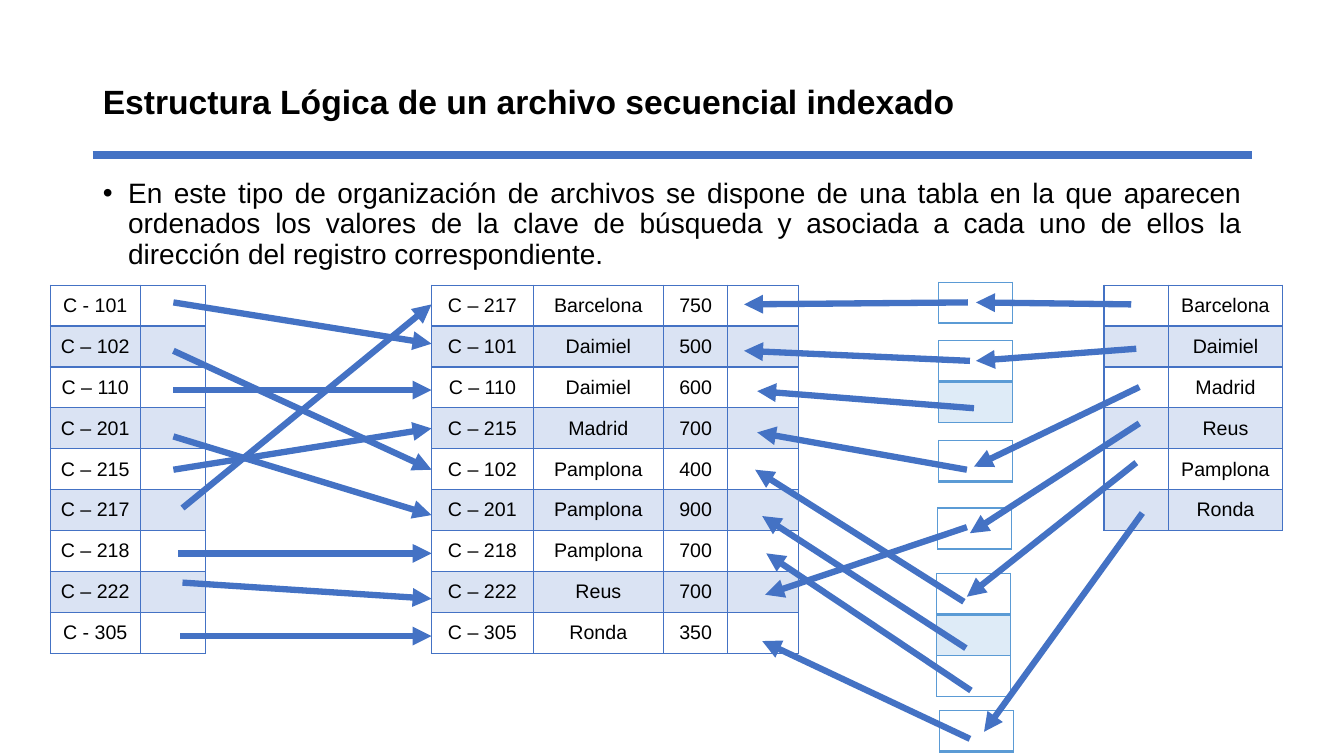
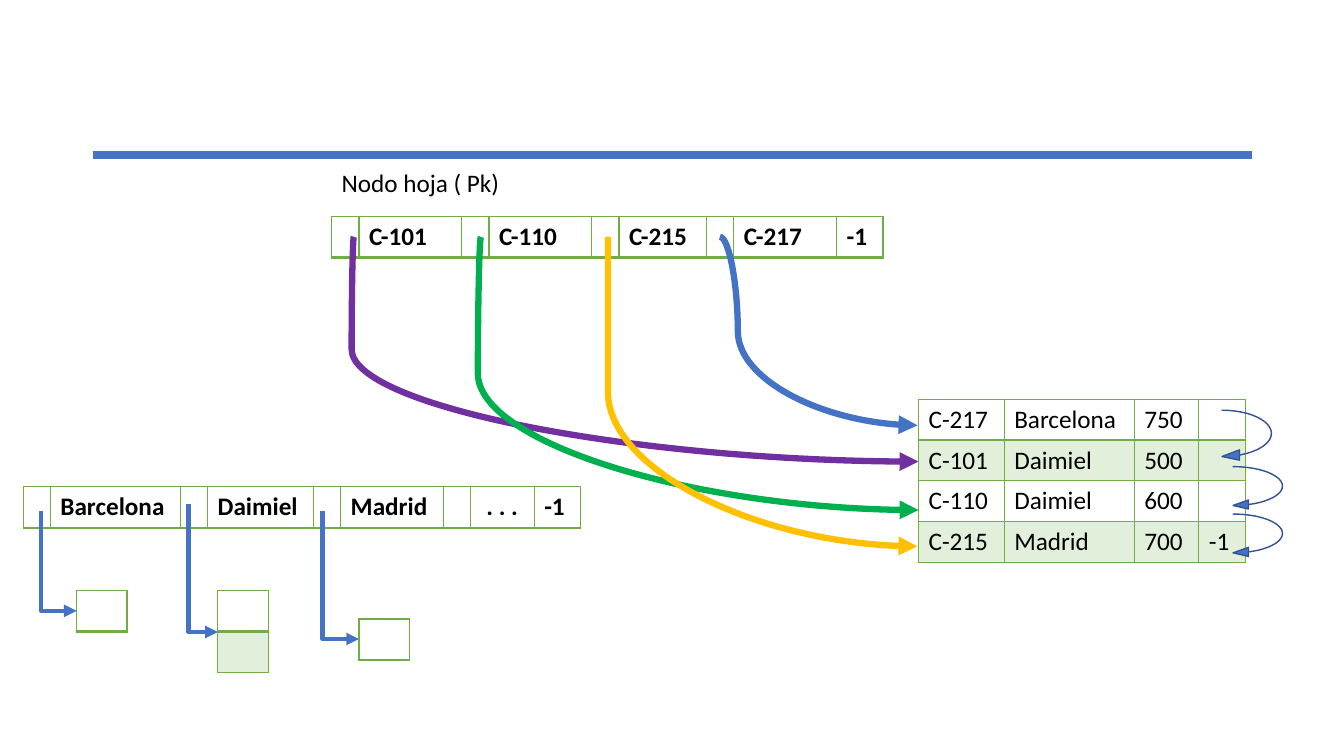
from dataclasses import dataclass

import pptx
import pptx.dml.color
import pptx.enum.shapes
import pptx.enum.text
import pptx.oxml.ns
import pptx.util
from lxml import etree

Inches, Pt = pptx.util.Inches, pptx.util.Pt
ALIGN = pptx.enum.text.PP_ALIGN
ANCHOR = pptx.enum.text.MSO_ANCHOR
CONNECTOR = pptx.enum.shapes.MSO_CONNECTOR
qn = pptx.oxml.ns.qn


@dataclass(frozen=True)
class Theme:
    black: str = "000000"
    blue: str = "4472C4"
    dark_blue: str = "325491"
    sky: str = "5B9BD5"
    green: str = "70AD47"
    purple: str = "7030A0"
    emerald: str = "00B050"
    amber: str = "FFC000"
    heading_font: str = "Arial"
    label_font: str = "Calibri"
    title_size: float = 24
    body_size: float = 20
    label_size: float = 18
    cell_size: float = 14
    rule_width: float = 6
    arrow_width: float = 4.5
    elbow_width: float = 3
    row_height: float = 29.2
    band_tint: float = 0.2


def rgb(code):
    return pptx.dml.color.RGBColor.from_string(code)


def tint(code, strength):
    """Blend a colour with white; strength 1 keeps it unchanged."""
    channels = (int(code[i:i + 2], 16) for i in (0, 2, 4))
    return "".join(f"{round(255 - (255 - value) * strength):02X}" for value in channels)


def assign(target, values):
    for name, value in values.items():
        setattr(target, name, value)


def add_node(parent, tag, **attributes):
    return etree.SubElement(parent, qn(tag), attributes)


class Painter:
    def __init__(self, deck, theme):
        self.deck, self.theme, self.page = deck, theme, None

    def new_page(self, layout):
        self.page = self.deck.slides.add_slide(self.deck.slide_layouts.get_by_name(layout))

    def add_text(self, para, text, size, font, bold=False, **layout):
        assign(para, layout)
        span = para.add_run()
        span.text = text
        assign(span.font, {"size": Pt(size), "name": font, "bold": bold})
        span.font.color.rgb = rgb(self.theme.black)

    def place(self, holder, left, top, width, height):
        assign(holder, {"left": Inches(left), "top": Inches(top),
                        "width": Inches(width), "height": Inches(height)})
        frame = holder.text_frame
        frame.auto_size = pptx.enum.text.MSO_AUTO_SIZE.NONE
        return frame

    def title(self, text):
        frame = self.place(self.page.shapes.title, 0.92, 0.7, 11.5, 0.65)
        frame.vertical_anchor = ANCHOR.MIDDLE
        self.add_text(frame.paragraphs[0], text, self.theme.title_size,
                      self.theme.heading_font, True,
                      alignment=ALIGN.JUSTIFY, line_spacing=0.9)

    def body(self, text):
        frame = self.place(self.page.placeholders[1], 0.92, 1.73, 11.5, 5)
        para = frame.paragraphs[0]
        self.add_text(para, text, self.theme.body_size, self.theme.heading_font,
                      alignment=ALIGN.JUSTIFY, line_spacing=0.9, space_before=Pt(10))
        properties = para._p.get_or_add_pPr()
        properties.set("marL", str(Inches(0.25)))
        properties.set("indent", str(-Inches(0.25)))
        add_node(properties, "a:buChar", char="•")

    def label(self, text, left, top, width, height):
        box = self.page.shapes.add_textbox(*map(Inches, (left, top, width, height)))
        box.text_frame.word_wrap = False
        self.add_text(box.text_frame.paragraphs[0], text, self.theme.label_size,
                      self.theme.label_font)

    def line(self, start, end, color, width, kind=CONNECTOR.STRAIGHT, bend=None, head=True):
        """Bend is the turning point, as a share of the connector's width."""
        link = self.page.shapes.add_connector(kind, *map(Inches, (*start, *end)))
        link.line.color.rgb = rgb(color)
        link.line.width = Pt(width)
        properties = link.element.spPr
        if head:
            add_node(properties.find(qn("a:ln")), "a:tailEnd", type="triangle")
        if bend is not None:
            guides = properties.find(qn("a:prstGeom")).find(qn("a:avLst"))
            add_node(guides, "a:gd", name="adj1", fmla=f"val {round(bend * 100000)}")
        add_node(properties, "a:effectLst")
        return link

    def master_rule(self):
        rule = self.line((0.92, 1.54), (12.42, 1.54), self.theme.blue,
                         self.theme.rule_width, head=False)
        self.deck.slide_master.shapes.element.append(rule.element)

    def borders(self, cell, color, top, bottom):
        sides = (("a:lnL", 1), ("a:lnR", 1), ("a:lnT", top), ("a:lnB", bottom))
        properties = cell._tc.get_or_add_tcPr()
        for index, (tag, width) in enumerate(sides):
            edge = etree.Element(qn(tag), w=str(Pt(width)))
            add_node(add_node(edge, "a:solidFill"), "a:srgbClr", val=color)
            properties.insert(index, edge)

    def table(self, left, top, widths, rows, color, size=None, font=None, bold=False,
              align=ALIGN.LEFT, anchor=ANCHOR.TOP):
        height = Pt(self.theme.row_height)
        grid = self.page.shapes.add_table(
            len(rows), len(widths), Inches(left), Inches(top),
            Inches(sum(widths)), height * len(rows)).table
        assign(grid, {"first_row": False, "horz_banding": False})
        for column, width in zip(grid.columns, widths):
            column.width = Inches(width)
        for r, texts in enumerate(rows):
            grid.rows[r].height = height
            for c, text in enumerate(texts):
                cell = grid.cell(r, c)
                cell.vertical_anchor = anchor
                if r % 2:
                    cell.fill.solid()
                    cell.fill.fore_color.rgb = rgb(tint(color, self.theme.band_tint))
                else:
                    cell.fill.background()
                self.borders(cell, color, 2 if r == 1 else 1, 2 if r == 0 else 1)
                if text:
                    self.add_text(cell.text_frame.paragraphs[0], text, size, font, bold,
                                  alignment=align)

    def buckets(self, left, top, width, count, color):
        self.table(left, top, [width], [[""]] * count, color)

    def loop_arrow(self, left, top, height):
        arrow = self.page.shapes.add_shape(
            pptx.enum.shapes.MSO_SHAPE.CURVED_LEFT_ARROW,
            *map(Inches, (left, top, 0.49, height)))
        for index, value in enumerate((0, 0.208, 0.355)):
            arrow.adjustments[index] = value
        arrow.shadow.inherit = False
        arrow.fill.solid()
        arrow.fill.fore_color.rgb = rgb(self.theme.blue)
        arrow.line.color.rgb = rgb(self.theme.dark_blue)
        arrow.line.width = Pt(1)


def indexed_file_page(painter):
    theme = painter.theme
    painter.new_page("Title and Content")
    painter.master_rule()
    painter.title("Estructura Lógica de un archivo secuencial indexado")
    painter.body("En este tipo de organización de archivos se dispone de una tabla en la que "
                 "aparecen ordenados los valores de la clave de búsqueda y asociada a cada uno "
                 "de ellos la dirección del registro correspondiente.")

    style = {"color": theme.blue, "size": theme.cell_size, "font": theme.heading_font,
             "align": ALIGN.CENTER, "anchor": ANCHOR.MIDDLE}
    records = [
        ("C – 217", "Barcelona", "750", ""),
        ("C – 101", "Daimiel", "500", ""),
        ("C – 110", "Daimiel", "600", ""),
        ("C – 215", "Madrid", "700", ""),
        ("C – 102", "Pamplona", "400", ""),
        ("C – 201", "Pamplona", "900", ""),
        ("C – 218", "Pamplona", "700", ""),
        ("C – 222", "Reus", "700", ""),
        ("C – 305", "Ronda", "350", ""),
    ]
    keys = ["C - 101", "C – 102", "C – 110", "C – 201", "C – 215", "C – 217", "C – 218",
            "C – 222", "C - 305"]
    cities = ["Barcelona", "Daimiel", "Madrid", "Reus", "Pamplona", "Ronda"]
    painter.table(4.28, 2.83, [1.01, 1.29, 0.64, 0.7], records, **style)
    painter.table(0.5, 2.83, [0.89, 0.65], [(key, "") for key in keys], **style)
    painter.table(10.95, 2.83, [0.64, 1.13], [("", city) for city in cities], **style)
    for left, top, count in ((9.31, 2.8, 1), (9.31, 3.38, 2), (9.31, 4.37, 1),
                             (9.3, 5.04, 1), (9.29, 5.69, 3), (9.32, 7.05, 1)):
        painter.buckets(left, top, 0.73, count, theme.sky)

    key_arrows = [(1.72, 3, 3.41), (1.72, 3.48, 4.66), (1.72, 3.87, 3.87),
                  (1.72, 4.33, 5.11), (1.72, 4.66, 4.25), (1.81, 5.04, 3.02),
                  (1.77, 5.49, 5.49), (1.81, 5.78, 5.94), (1.79, 6.31, 6.31)]
    city_arrows = [((11.22, 3.02), (9.68, 3)), ((11.27, 3.46), (9.68, 3.58)),
                   ((11.3, 3.84), (9.66, 4.63)), ((11.3, 4.2), (9.62, 5.29)),
                   ((11.27, 4.59), (9.59, 5.92)), ((11.33, 5.09), (9.76, 7.26))]
    bucket_arrows = [((9.6, 3), (7.38, 3.02)), ((9.62, 3.58), (7.38, 3.48)),
                     ((9.66, 4.05), (7.51, 3.88)), ((9.59, 4.66), (7.51, 4.29)),
                     ((9.59, 5.23), (7.59, 5.9)), ((9.56, 5.97), (7.49, 4.66)),
                     ((9.58, 6.43), (7.56, 5.12)), ((9.63, 6.85), (7.6, 5.49)),
                     ((9.62, 7.33), (7.56, 6.36))]
    from_keys = [((x, y), (4.28, record_y)) for x, y, record_y in key_arrows]
    for start, end in from_keys + city_arrows + bucket_arrows:
        painter.line(start, end, theme.blue, theme.arrow_width)


def leaf_node_page(painter):
    theme = painter.theme
    painter.new_page("Blank")
    style = {"color": theme.green, "size": theme.label_size, "font": theme.label_font}
    painter.label("Nodo hoja ( Pk)", 3.29, 1.61, 1.84, 0.4)
    painter.table(3.29, 2.15, [0.27, 1.02, 0.27, 1.02, 0.27, 0.87, 0.27, 1.02, 0.46],
                  [("", "C-101", "", "C-110", "", "C-215", "", "C-217", "-1")],
                  bold=True, **style)
    painter.table(9.11, 3.96, [0.85, 1.29, 0.64, 0.46],
                  [("C-217", "Barcelona", "750", ""), ("C-101", "Daimiel", "500", ""),
                   ("C-110", "Daimiel", "600", ""), ("C-215", "Madrid", "700", "-1")],
                  **style)
    painter.table(0.23, 4.83, [0.27, 1.29, 0.27, 1.05, 0.27, 1.02, 0.27, 0.63, 0.46],
                  [("", "Barcelona", "", "Daimiel", "", "Madrid", "", " . . .", "-1")],
                  bold=True, **style)
    for left, top, count in ((0.76, 5.86, 1), (2.16, 5.86, 2), (3.56, 6.14, 1)):
        painter.buckets(left, top, 0.5, count, theme.green)

    for x, end, color, bend in ((3.51, (9.11, 4.58), theme.purple, -0.004),
                                (4.77, (9.11, 5.06), theme.emerald, -0.007),
                                (6.03, (9.1, 5.42), theme.amber, 0),
                                (7.14, (9.1, 4.22), theme.blue, 0.091)):
        painter.line((x, 2.35), end, color, theme.arrow_width, CONNECTOR.CURVE, bend)
    for start, end in (((0.41, 5.07), (0.76, 6.06)), ((1.87, 5), (2.16, 6.27)),
                       ((3.2, 5.07), (3.56, 6.34))):
        painter.line(start, end, theme.blue, theme.elbow_width, CONNECTOR.ELBOW, 0)
    for left, top, height in ((12.12, 4.07, 0.51), (12.23, 4.63, 0.43), (12.23, 5.1, 0.43)):
        painter.loop_arrow(left, top, height)


def main():
    deck = pptx.Presentation()
    assign(deck, {"slide_width": Inches(13.33), "slide_height": Inches(7.5)})
    painter = Painter(deck, Theme())
    indexed_file_page(painter)
    leaf_node_page(painter)
    deck.save("out.pptx")


if __name__ == "__main__":
    main()
